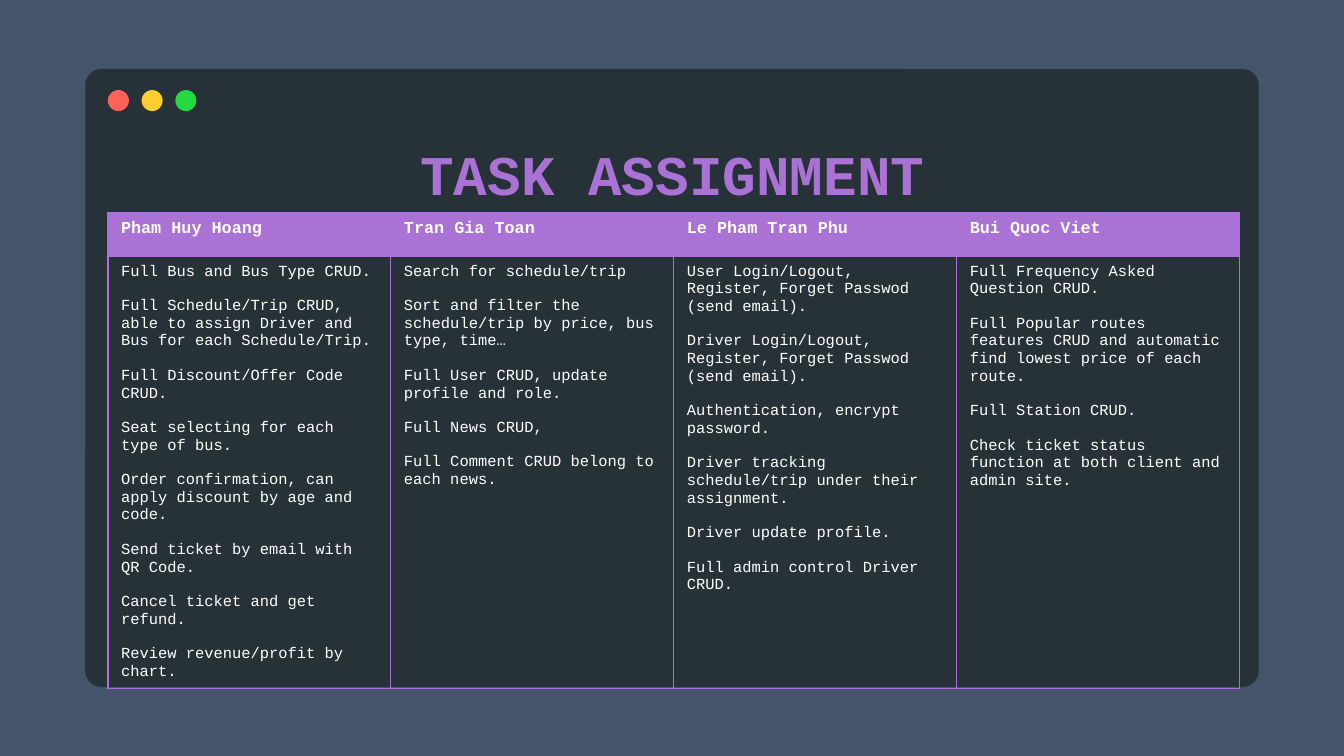
from lxml import etree
from pptx import Presentation
from pptx.dml.color import RGBColor
from pptx.enum import shapes, text
from pptx.oxml import ns
from pptx.util import Cm, Pt

TITLE = "TASK ASSIGNMENT"
TASKS = {
    "Pham Huy Hoang": [
        "Full Bus and Bus Type CRUD.",
        "Full Schedule/Trip CRUD, able to assign Driver and Bus for each Schedule/Trip.",
        "Full Discount/Offer Code CRUD.",
        "Seat selecting for each type of bus.",
        "Order confirmation, can apply discount by age and code.",
        "Send ticket by email with QR Code.",
        "Cancel ticket and get refund.",
        "Review revenue/profit by chart.",
    ],
    "Tran Gia Toan": [
        "Search for schedule/trip",
        "Sort and filter the schedule/trip by price, bus type, time…",
        "Full User CRUD, update profile and role.",
        "Full News CRUD,",
        "Full Comment CRUD belong to each news.",
    ],
    "Le Pham Tran Phu": [
        "User Login/Logout, Register, Forget Passwod (send email).",
        "Driver Login/Logout, Register, Forget Passwod (send email).",
        "Authentication, encrypt password.",
        "Driver tracking schedule/trip under their assignment.",
        "Driver update profile.",
        "Full admin control Driver CRUD.",
    ],
    "Bui Quoc Viet": [
        "Full Frequency Asked Question CRUD.",
        "Full Popular routes features CRUD and automatic find lowest price of each route.",
        "Full Station CRUD.",
        "Check ticket status function at both client and admin site.",
    ],
}

FONT = "Courier New"
BACKDROP = RGBColor(0x44, 0x54, 0x6A)
WINDOW = RGBColor(0x26, 0x32, 0x38)
PURPLE = RGBColor(0xAA, 0x72, 0xD4)
WHITE = RGBColor(0xFF, 0xFF, 0xFF)
BUTTONS = [
    RGBColor(0xFF, 0x60, 0x57),
    RGBColor(0xFF, 0xCD, 0x2D),
    RGBColor(0x27, 0xD9, 0x40),
]

LEFT = 2.72
COL_W = 7.13
HEAD_H, BODY_H = 1.09, 10.87
DOT, DOT_STEP = 0.53, 0.85


def add_text(tf, lines, size, color=WHITE, bold=False, align=text.PP_ALIGN.LEFT, gap=0):
    tf.word_wrap = True
    for i, line in enumerate(lines):
        p = tf.paragraphs[0] if i == 0 else tf.add_paragraph()
        p.alignment = align
        p.space_before = p.space_after = Pt(gap)
        r = p.add_run()
        r.text = line
        r.font.name = FONT
        r.font.size = Pt(size)
        r.font.bold = bold
        r.font.color.rgb = color


def add_panel(s, kind, x, y, w, h, color):
    sp = s.shapes.add_shape(kind, Cm(x), Cm(y), Cm(w), Cm(h))
    sp.shadow.inherit = False
    sp.fill.solid()
    sp.fill.fore_color.rgb = color
    sp.line.fill.background()
    return sp


def style_cell(cell, fill):
    cell.margin_left = cell.margin_right = Cm(0.33)
    cell.margin_top = cell.margin_bottom = Cm(0.18)
    pr = cell._tc.get_or_add_tcPr()
    for side in ("lnL", "lnR", "lnT", "lnB"):
        ln = etree.SubElement(pr, ns.qn(f"a:{side}"), w=str(Pt(1)))
        solid = etree.SubElement(ln, ns.qn("a:solidFill"))
        etree.SubElement(solid, ns.qn("a:srgbClr"), val=str(PURPLE))
    if fill is None:
        cell.fill.background()
    else:
        cell.fill.solid()
        cell.fill.fore_color.rgb = fill


def main():
    prs = Presentation()
    prs.slide_width, prs.slide_height = Cm(33.87), Cm(19.05)
    s = prs.slides.add_slide(prs.slide_layouts[6])
    s.background.fill.solid()
    s.background.fill.fore_color.rgb = BACKDROP

    window = add_panel(s, shapes.MSO_SHAPE.ROUNDED_RECTANGLE, 2.15, 1.74, 29.57, 15.57, WINDOW)
    window.adjustments[0] = 0.026
    for i, color in enumerate(BUTTONS):
        add_panel(s, shapes.MSO_SHAPE.OVAL, LEFT + i * DOT_STEP, 2.27, DOT, DOT, color)

    frame = s.shapes.add_table(2, len(TASKS), Cm(LEFT), Cm(5.36),
                               Cm(COL_W * len(TASKS)), Cm(HEAD_H + BODY_H))
    table = frame.table
    table.horz_banding = False
    table.rows[0].height, table.rows[1].height = Cm(HEAD_H), Cm(BODY_H)
    for col, (member, tasks) in enumerate(TASKS.items()):
        table.columns[col].width = Cm(COL_W)
        head, body = table.cell(0, col), table.cell(1, col)
        style_cell(head, PURPLE)
        style_cell(body, None)
        add_text(head.text_frame, [member], 12, bold=True)
        add_text(body.text_frame, tasks, 11, gap=6)

    title = s.shapes.add_textbox(Cm(4.9), Cm(3.4), Cm(24.08), Cm(1.96))
    add_text(title.text_frame, [TITLE], 40, PURPLE, True, text.PP_ALIGN.CENTER)

    prs.save("out.pptx")


if __name__ == "__main__":
    main()
